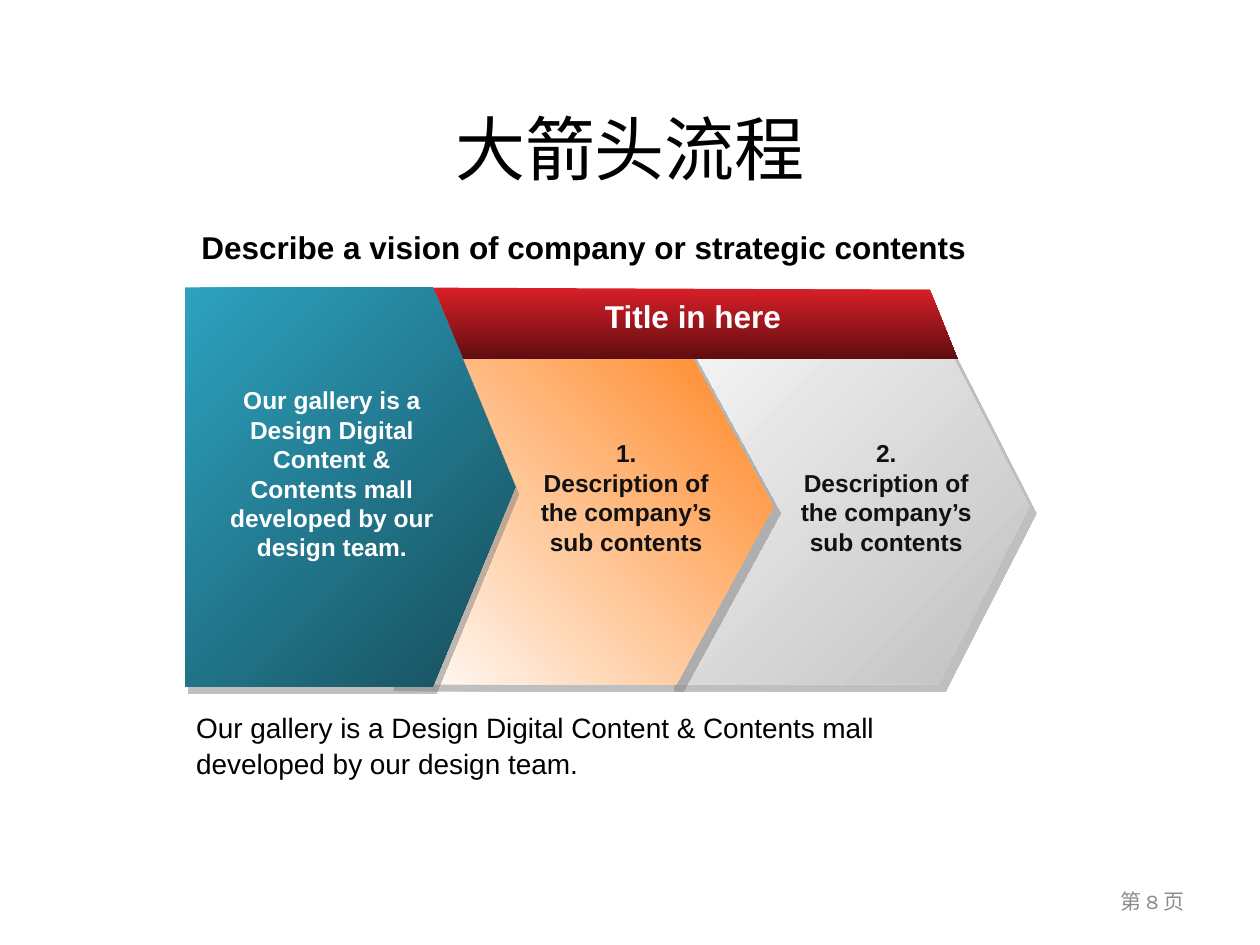
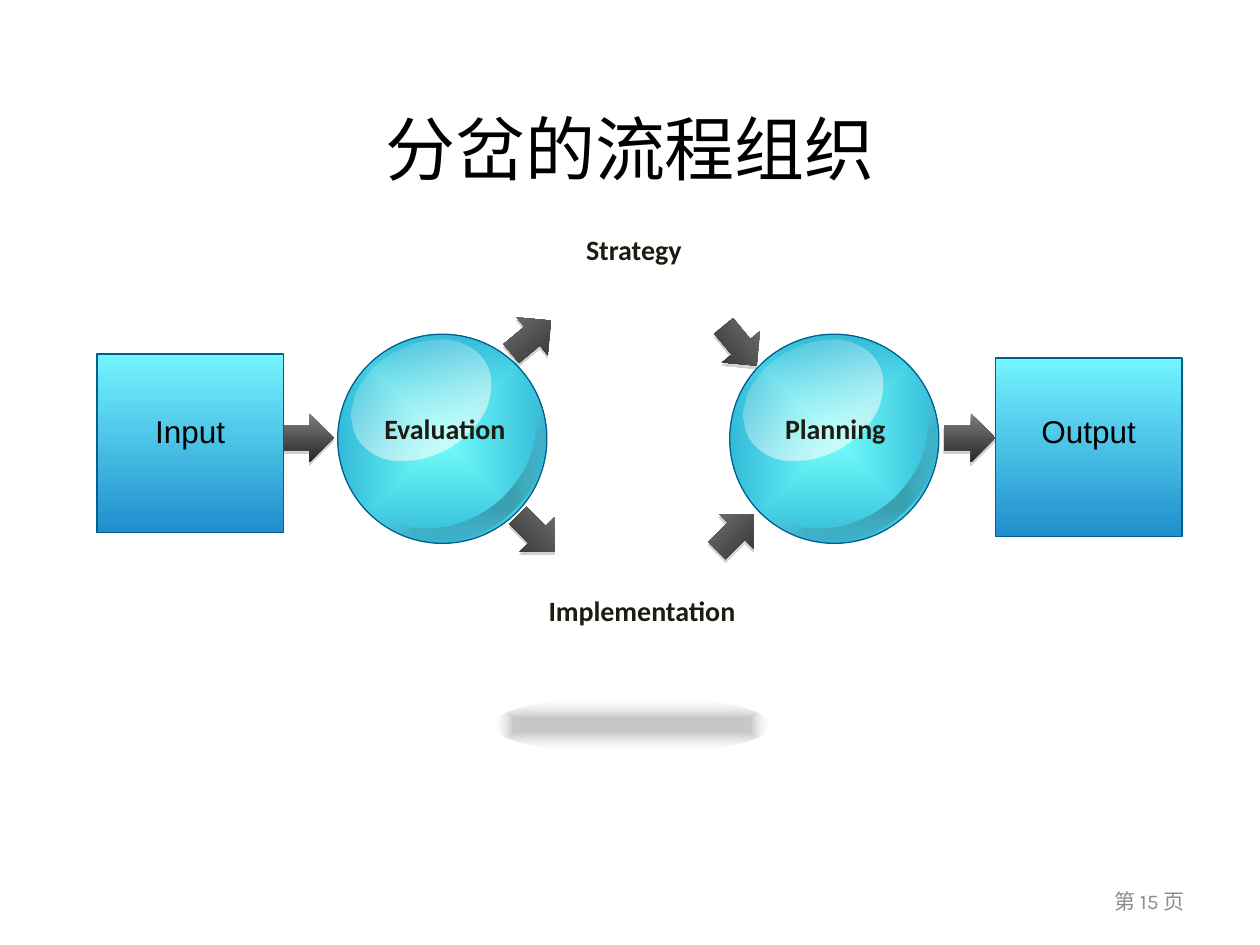
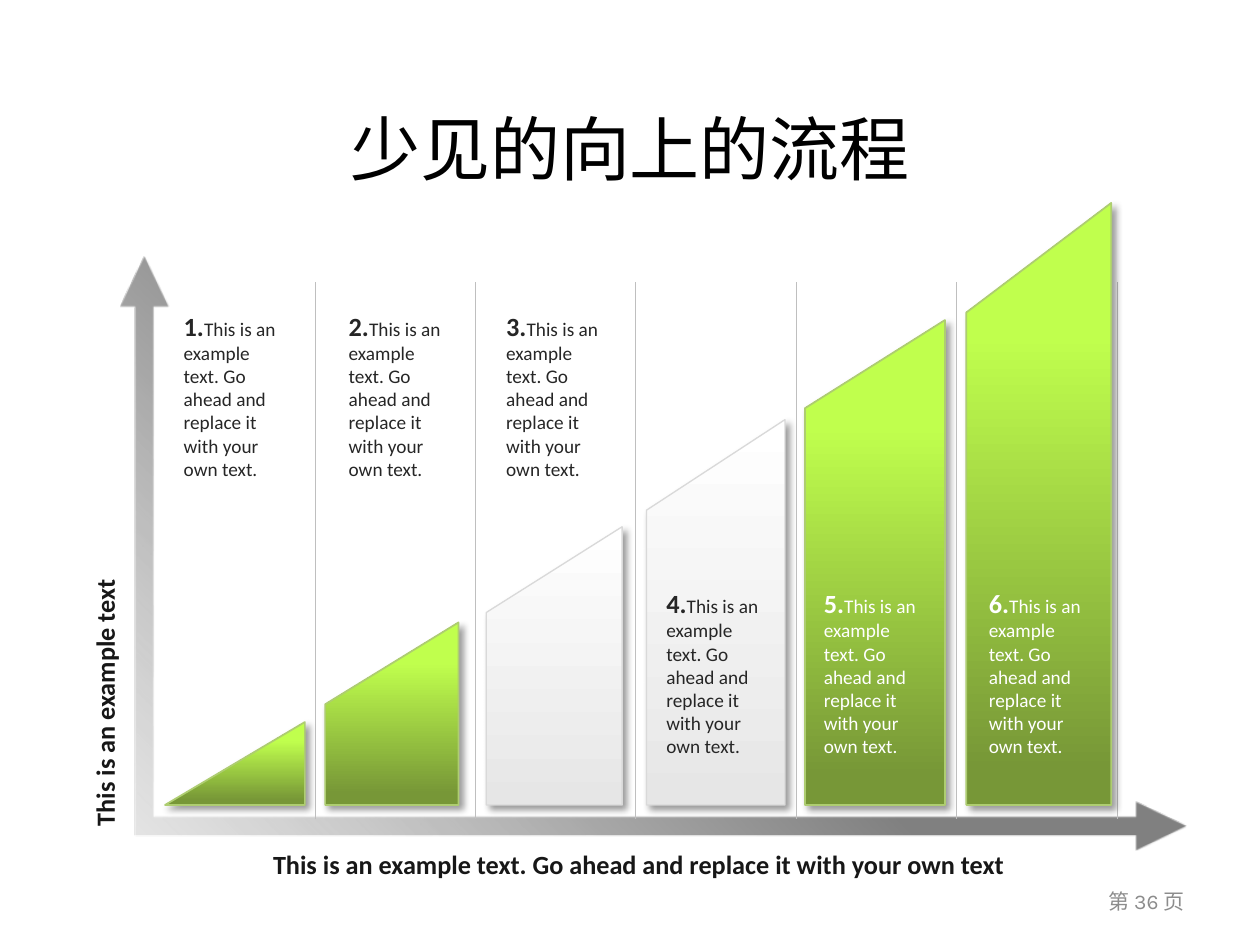
from dataclasses import dataclass

import pptx
import pptx.dml.color
import pptx.enum.shapes
import pptx.enum.text
import pptx.oxml
import pptx.oxml.ns
import pptx.util

Pt = pptx.util.Pt
SHAPE = pptx.enum.shapes.MSO_SHAPE
ALIGN = pptx.enum.text.PP_ALIGN
ANCHOR = pptx.enum.text.MSO_ANCHOR
qn = pptx.oxml.ns.qn


# Theme: gradients are (stops, angle); an angle of None fills outwards from the
# centre. A stop is (position, colour, opacity), all percentages.
# Shadows are (colour, opacity, blur, distance, angle).
@dataclass(frozen=True)
class Theme:
    title_font: str = "Karla"
    plain_font: str = "Arial"
    label_font: str = "Calibri"
    title_size: int = 40
    heading_size: int = 18
    body_size: int = 16
    axis_size: int = 15
    arrow_size: int = 14
    footer_size: int = 12
    step_size: int = 11
    black: str = "000000"
    white: str = "FFFFFF"
    footer_grey: str = "8C8C8C"
    arrow_text: str = "111111"
    label_text: str = "1E1C11"
    axis_text: str = "171717"
    step_text: str = "262626"
    orb_edge: str = "00618E"
    separator: str = "BFBFBF"
    green_edge: str = "AECD71"
    grey_edge: str = "D9D9D9"
    silver: tuple = (((0, "F6F6F6", 100), (100, "C0C0C0", 100)), 45)
    orange: tuple = (((0, "FFFFFF", 100), (100, "FF8119", 100)), 315)
    red: tuple = (((0, "DA1F28", 100), (100, "5F0D11", 100)), 90)
    teal: tuple = (((0, "2DA2BF", 100), (100, "174E5C", 100)), 45)
    orb: tuple = (((0, "74FFFD", 100), (100, "20A6CD", 100)), None)
    orb_shade: tuple = (((24, "000000", 24), (100, "FFFFFF", 0)), None)
    orb_gloss: tuple = (((0, "FFFFFF", 0), (100, "FFFCF9", 77)), 90)
    floor: tuple = (((24, "000000", 22), (100, "FFFFFF", 0)), None)
    box: tuple = (((0, "74F4FF", 100), (100, "208ECD", 100)), 90)
    dark: tuple = (((0, "7F7F7F", 100), (100, "262626", 100)), 90)
    axis: tuple = (((51, "808080", 100), (69, "A6A6A6", 100), (100, "D9D9D9", 63)), 45)
    green: tuple = (((6, "779737", 100), (78, "C0FF4D", 100)), 270)
    pale: tuple = (((0, "E6E6E6", 100), (100, "FFFFFF", 100)), 270)
    chevron_shadow: tuple = ("808080", 50, 0, 5.7, 45)
    teal_shadow: tuple = ("808080", 50, 0, 4.5, 63)
    arrow_shadow: tuple = ("808080", 35, 0, 1.8, 90)
    bar_shadow: tuple = ("000000", 40, 4, 3, 45)


THEME = Theme()


# Formatting helpers
def rgb(colour):
    return pptx.dml.color.RGBColor.from_string(colour)


def add_xml(parent, tag, **attributes):
    element = pptx.oxml.parse_xml(f"<a:{tag} {pptx.oxml.ns.nsdecls('a')}/>")
    for name, value in attributes.items():
        element.set(name, str(value))
    parent.append(element)
    return element


def add_colour(parent, colour, opacity):
    element = add_xml(parent, "srgbClr", val=colour)
    if opacity < 100:
        add_xml(element, "alpha", val=opacity * 1000)


def set_gradient(shape, gradient):
    stops, angle = gradient
    shape.fill.gradient()
    fill = shape._element.spPr.find(qn("a:gradFill"))
    fill.clear()
    fill.set("rotWithShape", "1")
    stop_list = add_xml(fill, "gsLst")
    for position, colour, opacity in stops:
        add_colour(add_xml(stop_list, "gs", pos=position * 1000), colour, opacity)
    if angle is None:
        centre = add_xml(fill, "path", path="shape")
        add_xml(centre, "fillToRect", l=50000, t=50000, r=50000, b=50000)
    else:
        add_xml(fill, "lin", ang=angle * 60000, scaled=0)


def set_shadow(shape, shadow):
    shape.shadow.inherit = False
    if shadow:
        colour, opacity, blur, distance, angle = shadow
        effects = shape._element.spPr.find(qn("a:effectLst"))
        outer = add_xml(effects, "outerShdw", blurRad=Pt(blur), dist=Pt(distance),
                        dir=angle * 60000, algn="ctr", rotWithShape=0)
        add_colour(outer, colour, opacity)


def style_shape(shape, gradient, edge=None, edge_width=0.75, shadow=None):
    set_gradient(shape, gradient)
    if edge:
        shape.line.color.rgb = rgb(edge)
        shape.line.width = Pt(edge_width)
    else:
        shape.line.fill.background()
    set_shadow(shape, shadow)


def write_text(frame, text, size, colour, font, bold=False, align=ALIGN.LEFT,
               anchor=ANCHOR.TOP, line_spacing=None, lead=None, lead_size=None):
    """Fill a frame, one paragraph a line; lead is a bold opening run."""
    frame.word_wrap = True
    frame.vertical_anchor = anchor
    for index, line in enumerate(text.split("\n")):
        paragraph = frame.add_paragraph() if index else frame.paragraphs[0]
        paragraph.alignment = align
        if line_spacing:
            paragraph.line_spacing = line_spacing
        runs = [(line, size, bold)]
        if lead:
            runs.insert(0, (lead, lead_size, True))
        for run_text, run_size, run_bold in runs:
            run = paragraph.add_run()
            run.text = run_text
            run.font.size = Pt(run_size)
            run.font.bold = run_bold
            run.font.name = font
            run.font.color.rgb = rgb(colour)


# Elements
def add_text(slide, box, text, rotation=0, **text_format):
    shape = slide.shapes.add_textbox(*map(Pt, box))
    shape.rotation = rotation
    write_text(shape.text_frame, text, **text_format)


def add_preset(slide, kind, box, gradient, adjustments=(), rotation=0, flip=False, **style):
    shape = slide.shapes.add_shape(kind, *map(Pt, box))
    for index, value in enumerate(adjustments):
        shape.adjustments[index] = value
    shape.rotation = rotation
    if flip:
        shape._element.spPr.xfrm.set("flipH", "1")
    style_shape(shape, gradient, **style)


def add_polygon(slide, points, gradient, **style):
    start, *others = [(Pt(x), Pt(y)) for x, y in points]
    builder = slide.shapes.build_freeform(*start, scale=1.0)
    builder.add_line_segments(others, close=True)
    style_shape(builder.convert_to_shape(), gradient, **style)


def add_separator(slide, x, top, bottom):
    line = slide.shapes.add_connector(
        pptx.enum.shapes.MSO_CONNECTOR.STRAIGHT, Pt(x), Pt(bottom), Pt(x), Pt(top))
    line.line.color.rgb = rgb(THEME.separator)
    line.line.width = Pt(0.5)
    add_xml(line._element.spPr, "effectLst")


def add_orb(slide, left, top):
    add_preset(slide, SHAPE.OVAL, (left, top, 119.5, 119.5), THEME.orb,
               rotation=338.6, flip=True, edge=THEME.orb_edge)
    add_preset(slide, SHAPE.MOON, (left + 51.8, top + 27, 52.6, 116), THEME.orb_shade,
               adjustments=[0.19], rotation=53.6, flip=True)
    add_preset(slide, SHAPE.OVAL, (left + 5.4, top + 6.2, 84.2, 62.6), THEME.orb_gloss,
               rotation=329.4, flip=True)


def add_flow_arrow(slide, left, top, rotation=0):
    add_preset(slide, SHAPE.RIGHT_ARROW, (left, top, 29.5, 28), THEME.dark,
               rotation=rotation, shadow=THEME.arrow_shadow)


def add_flow_box(slide, left, top, text):
    add_preset(slide, SHAPE.RECTANGLE, (left, top, 106.6, 102.2), THEME.box, edge=THEME.orb_edge)
    add_text(slide, (left, 231.8, 106.6, 28.8), text, size=THEME.heading_size,
             colour=THEME.black, font=THEME.plain_font, align=ALIGN.CENTER)


def add_titled_slide(presentation, title, page):
    slide = presentation.slides.add_slide(presentation.slide_layouts[5])
    shape = slide.shapes.title
    shape.left, shape.top, shape.width, shape.height = map(Pt, (36, 56, 648, 56))
    write_text(shape.text_frame, title, size=THEME.title_size, colour=THEME.black,
               font=THEME.title_font, align=ALIGN.CENTER, anchor=ANCHOR.MIDDLE)
    add_text(slide, (516, 500.5, 168, 28.8), f"第 {page} 页", size=THEME.footer_size,
             colour=THEME.footer_grey, font=THEME.title_font, align=ALIGN.RIGHT,
             anchor=ANCHOR.MIDDLE)
    return slide


# Slides
def build_big_arrows(presentation):
    slide = add_titled_slide(presentation, "大箭头流程", 8)
    summary = ("Our gallery is a Design Digital Content & Contents mall "
               "developed by our design team.")

    # Overlapping arrows and the red band
    add_preset(slide, SHAPE.PENTAGON, (381.6, 187.9, 206.6, 203), THEME.silver,
               adjustments=[0.255], shadow=THEME.chevron_shadow)
    add_preset(slide, SHAPE.PENTAGON, (221, 187.9, 221, 203), THEME.orange,
               adjustments=[0.273], shadow=THEME.chevron_shadow)
    add_polygon(slide, [(204.5, 164.2), (213, 205.2), (547.2, 205.2), (531.4, 165.6)], THEME.red)
    add_preset(slide, SHAPE.PENTAGON, (105.8, 164.2, 188.6, 228.2), THEME.teal,
               adjustments=[0.25], shadow=THEME.teal_shadow)

    # Arrow texts
    centred = dict(font=THEME.plain_font, bold=True, align=ALIGN.CENTER)
    add_text(slide, (118, 216.7, 143.3, 108), summary, size=THEME.arrow_size,
             colour=THEME.white, **centred)
    add_text(slide, (258.5, 166.3, 275, 28.8), "Title in here", size=THEME.heading_size,
             colour=THEME.white, **centred)
    for number, left in enumerate((292, 440.6), start=1):
        add_text(slide, (left, 247, 131.8, 74.2),
                 f"{number}.\nDescription of the company’s sub contents",
                 size=THEME.arrow_size, colour=THEME.arrow_text, **centred)

    # Lines above and below
    add_text(slide, (108, 126.7, 498.2, 28.8),
             "Describe a vision of company or strategic contents",
             size=THEME.heading_size, colour=THEME.black, font=THEME.plain_font, bold=True)
    add_text(slide, (105, 400.3, 476.6, 49.7), summary, size=THEME.body_size,
             colour=THEME.black, font=THEME.plain_font, line_spacing=1.1)


def build_forked_flow(presentation):
    slide = add_titled_slide(presentation, "分岔的流程组织", 15)

    # Orbs, floor shadow and end boxes
    add_preset(slide, SHAPE.OVAL, (281.5, 398.2, 159, 32.4), THEME.floor)
    for left, top, rotation in ((288.7, 178.6, 320.3), (405.4, 290.2, 315),
                                (408.2, 183.6, 50.3), (291.6, 290.9, 45),
                                (161.3, 236.2, 0), (539.3, 236.2, 0)):
        add_flow_arrow(slide, left, top, rotation)
    for left in (193, 417):
        add_orb(slide, left, 191)
    add_flow_box(slide, 55.4, 202.3, "Input")
    add_flow_box(slide, 568.8, 204.5, "Output")

    # Labels
    for text, left, top, width in (("Strategy", 305.3, 129.6, 113.8),
                                   ("Evaluation", 197.3, 231.8, 113.8),
                                   ("Planning", 432.7, 231.8, 89.3),
                                   ("Implementation", 305.3, 335.5, 123.1)):
        add_text(slide, (left, top, width, 48.2), text, size=THEME.body_size,
                 colour=THEME.label_text, font=THEME.label_font, bold=True, align=ALIGN.CENTER)


def build_rising_bars(presentation):
    slide = add_titled_slide(presentation, "少见的向上的流程", 36)
    example = "This is an example text"
    invitation = "Go ahead and replace it with your own text"

    # Axes, separators and axis captions
    add_preset(slide, SHAPE.LEFT_UP_ARROW, (69, 146.9, 609, 339), THEME.axis,
               adjustments=[0.031, 0.041, 0.085], flip=True)
    for index in range(6):
        add_separator(slide, 180 + 91.7 * index, 161.3, 468)
    caption = dict(size=THEME.axis_size, colour=THEME.axis_text, font=THEME.label_font, bold=True)
    add_text(slide, (108, 481, 514, 25.2), f"{example}. {invitation}",
             align=ALIGN.CENTER, **caption)
    add_text(slide, (-56.9, 350, 233.3, 25.2), example, rotation=270, **caption)

    # Bars: left, right, height of the left edge, height of the right edge
    base = 460
    green = dict(gradient=THEME.green, edge=THEME.green_edge, edge_width=1)
    pale = dict(gradient=THEME.pale, edge=THEME.grey_edge)
    bars = ((94.3, 174.2, base, 412.6, green), (185.8, 262, 402.5, 355.7, green),
            (277.9, 355.5, 350, 301, pale), (369.4, 448.6, 291.6, 239.8, pale),
            (460, 540, 233.3, 182.9, green), (552.2, 635, 178.6, 116, green))
    for left, right, left_top, right_top, style in bars:
        add_polygon(slide, [(left, left_top), (left, base), (right, base), (right, right_top)],
                    shadow=THEME.bar_shadow, **style)

    # Step texts: above the low bars, inside the high ones
    for number, left in enumerate((97.9, 192.2, 282.2, 373.7, 463.7, 558), start=1):
        top = 173.5 if number <= 3 else 332
        add_text(slide, (left, top, 69.8, 105), f"{example}. {invitation}.",
                 size=THEME.step_size, colour=THEME.step_text if number <= 4 else THEME.white,
                 font=THEME.label_font, lead=f"{number}.", lead_size=THEME.axis_size)


def main():
    presentation = pptx.Presentation()
    presentation.slide_width, presentation.slide_height = Pt(720), Pt(540)
    build_big_arrows(presentation)
    build_forked_flow(presentation)
    build_rising_bars(presentation)
    presentation.save("out.pptx")


if __name__ == "__main__":
    main()
